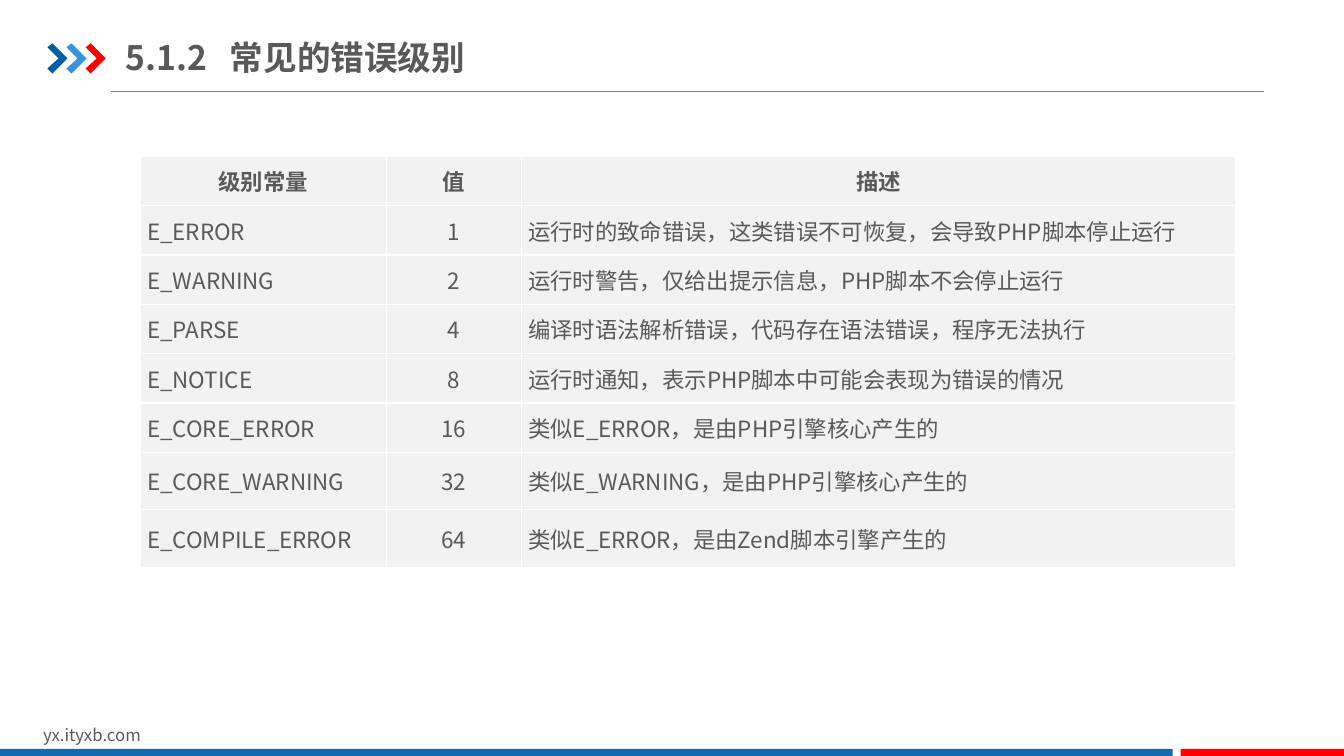
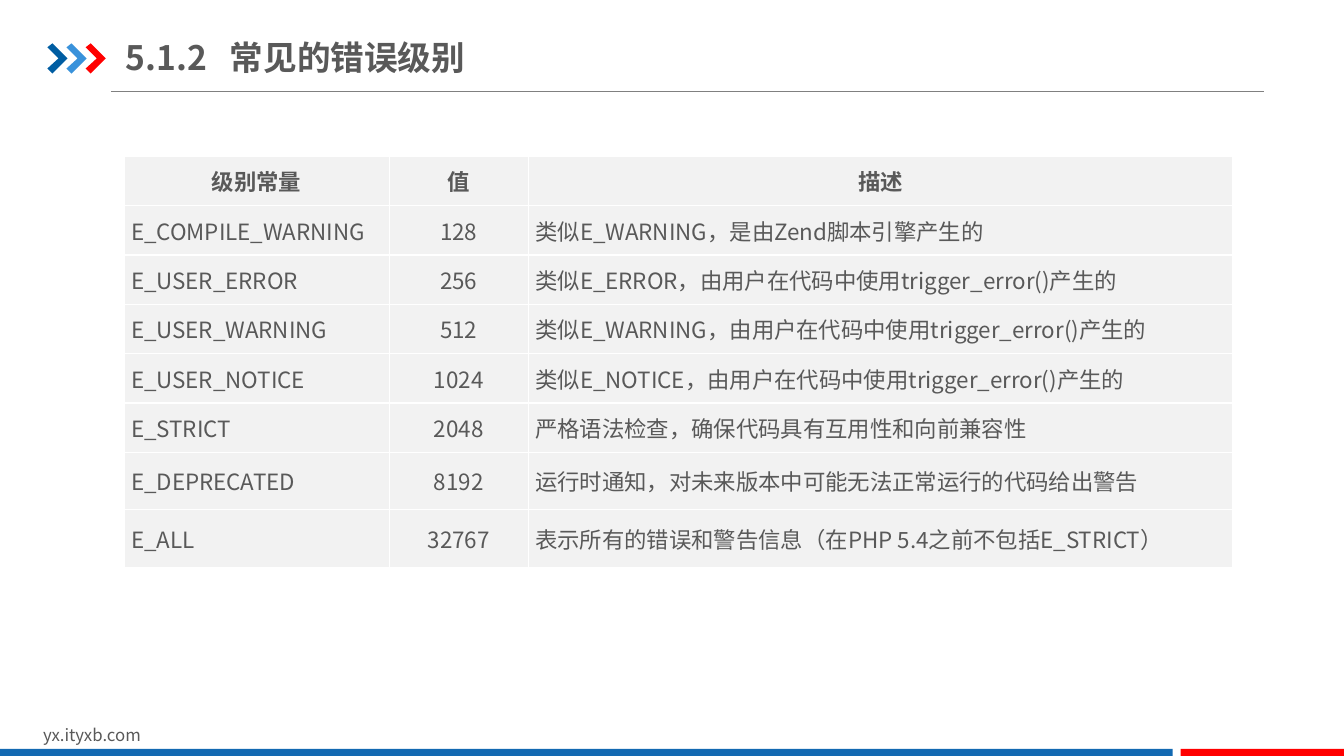
from dataclasses import dataclass

from lxml.etree import SubElement
from pptx import Presentation
from pptx.dml.color import RGBColor as Rgb
from pptx.enum.shapes import MSO_CONNECTOR as Connector, MSO_SHAPE as Shape
from pptx.enum.text import MSO_ANCHOR as Anchor, MSO_AUTO_SIZE as AutoSize, PP_ALIGN as Align
from pptx.oxml.ns import qn
from pptx.util import Inches, Pt


@dataclass(frozen=True)
class Theme:
    font: str = "Noto Sans CJK SC"
    text: str = "595959"
    rule: str = "808080"
    blue: str = "1369B2"
    red: str = "FF0000"
    chevrons: tuple = ("005DA2", "3992DB", "FF0000")
    cell: str = "F2F2F2"
    border: str = "FFFFFF"
    title_size: int = 24
    table_size: int = 16
    footer_size: int = 12


THEME = Theme()
PAGE_WIDTH, PAGE_HEIGHT = 13.33, 7.5
CHEVRON = ((0, 0.04), (0.05, 0), (0.2, 0.15), (0.05, 0.3), (0, 0.25), (0.11, 0.15))
HEADINGS = ("级别常量", "值", "描述")
ROW_HEIGHTS = (0.49,) * 6 + (0.57,) * 2

FIRST_LEVELS = (
    ("E_ERROR", "1", "运行时的致命错误，这类错误不可恢复，会导致PHP脚本停止运行"),
    ("E_WARNING", "2", "运行时警告，仅给出提示信息，PHP脚本不会停止运行"),
    ("E_PARSE", "4", "编译时语法解析错误，代码存在语法错误，程序无法执行"),
    ("E_NOTICE", "8", "运行时通知，表示PHP脚本中可能会表现为错误的情况"),
    ("E_CORE_ERROR", "16", "类似E_ERROR，是由PHP引擎核心产生的"),
    ("E_CORE_WARNING", "32", "类似E_WARNING，是由PHP引擎核心产生的"),
    ("E_COMPILE_ERROR", "64", "类似E_ERROR，是由Zend脚本引擎产生的"),
)
MORE_LEVELS = (
    ("E_COMPILE_WARNING", "128", "类似E_WARNING，是由Zend脚本引擎产生的"),
    ("E_USER_ERROR", "256", "类似E_ERROR，由用户在代码中使用trigger_error()产生的"),
    ("E_USER_WARNING", "512", "类似E_WARNING，由用户在代码中使用trigger_error()产生的"),
    ("E_USER_NOTICE", "1024", "类似E_NOTICE，由用户在代码中使用trigger_error()产生的"),
    ("E_STRICT", "2048", "严格语法检查，确保代码具有互用性和向前兼容性"),
    ("E_DEPRECATED", "8192", "运行时通知，对未来版本中可能无法正常运行的代码给出警告"),
    ("E_ALL", "32767", "表示所有的错误和警告信息（在PHP 5.4之前不包括E_STRICT）"),
)


def paint(shape, color):
    shape.shadow.inherit = False
    shape.fill.solid()
    shape.fill.fore_color.rgb = Rgb.from_string(color)
    shape.line.fill.background()


def add_span(para, text, size, bold=False):
    span = para.add_run()
    span.text = text
    span.font.size = Pt(size)
    span.font.bold = bold
    span.font.color.rgb = Rgb.from_string(THEME.text)
    span.font.name = THEME.font
    SubElement(span.font._element, qn("a:ea"), typeface=THEME.font)


def add_chevrons(page, left, top, pitch=0.19):
    group = page.shapes.add_group_shape()
    for index, color in enumerate(THEME.chevrons):
        points = [(Inches(left + index * pitch + x), Inches(top + y)) for x, y in CHEVRON]
        outline = group.shapes.build_freeform(*points[0])
        outline.add_line_segments(points[1:], close=True)
        paint(outline.convert_to_shape(), color)


def add_title(page, number, title, left, top, width, height):
    box = page.shapes.add_textbox(Inches(left), Inches(top), Inches(width), Inches(height))
    frame = box.text_frame
    frame.word_wrap = True
    frame.vertical_anchor = Anchor.MIDDLE
    frame.margin_left = frame.margin_right = 0
    frame.margin_top = frame.margin_bottom = Inches(0.07)
    para = frame.paragraphs[0]
    tabs = SubElement(para._p.get_or_add_pPr(), qn("a:tabLst"))
    SubElement(tabs, qn("a:tab"), pos=str(Inches(1.03)), algn="l")
    add_span(para, f"{number}\t{title}", THEME.title_size, bold=True)


def add_header(page, number, title, left, top):
    rule_left, rule_top = Inches(left + 0.63), Inches(top + 0.48)
    rule = page.shapes.add_connector(
        Connector.STRAIGHT, rule_left, rule_top, rule_left + Inches(11.44), rule_top)
    rule.line.color.rgb = Rgb.from_string(THEME.rule)
    rule.line.width = Pt(0.75)
    SubElement(rule._element.spPr, qn("a:effectLst"))
    add_chevrons(page, left, top)
    add_title(page, number, title, left + 0.78, top - 0.14, 4.26, 0.55)


def add_footer(page, address, top):
    box = page.shapes.add_textbox(Inches(0.33), Inches(top), Inches(3.18), Inches(0.3))
    box.text_frame.word_wrap = True
    box.text_frame.auto_size = AutoSize.SHAPE_TO_FIT_TEXT
    add_span(box.text_frame.paragraphs[0], address, THEME.footer_size)
    for left, width, color in ((0, 11.63, THEME.blue), (11.71, 1.63, THEME.red)):
        band = page.shapes.add_shape(
            Shape.RECTANGLE, Inches(left), Inches(top + 0.29), Inches(width), Inches(0.09))
        paint(band, color)


def style_cell(cell):
    properties = cell._tc.get_or_add_tcPr()
    for side in ("a:lnL", "a:lnR", "a:lnT", "a:lnB"):
        edge = SubElement(properties, qn(side), w=str(Pt(1)))
        fill = SubElement(edge, qn("a:solidFill"))
        SubElement(fill, qn("a:srgbClr"), val=THEME.border)
    cell.fill.solid()
    cell.fill.fore_color.rgb = Rgb.from_string(THEME.cell)
    cell.vertical_anchor = Anchor.MIDDLE
    cell.margin_left = cell.margin_right = Inches(0.07)
    cell.margin_top = cell.margin_bottom = 0


def add_level_table(page, levels, left, top, widths):
    rows = (HEADINGS,) + levels
    table = page.shapes.add_table(
        len(rows), len(widths), Inches(left), Inches(top),
        Inches(sum(widths)), Inches(sum(ROW_HEIGHTS))).table
    for column, width in zip(table.columns, widths):
        column.width = Inches(width)
    for row, height in zip(table.rows, ROW_HEIGHTS):
        row.height = Inches(height)
    for row_index, texts in enumerate(rows):
        heading = row_index == 0
        for column_index, text in enumerate(texts):
            cell = table.cell(row_index, column_index)
            style_cell(cell)
            para = cell.text_frame.paragraphs[0]
            para.alignment = Align.CENTER if heading or column_index == 1 else Align.LEFT
            add_span(para, text, THEME.table_size, bold=heading)


def add_level_page(deck, levels, table_left, widths):
    page = deck.slides.add_slide(deck.slide_layouts[6])
    add_header(page, "5.1.2", "常见的错误级别", 0.47, 0.43)
    add_footer(page, "yx.ityxb.com", 7.14)
    add_level_table(page, levels, table_left, 1.55, widths)


def main():
    deck = Presentation()
    deck.slide_width, deck.slide_height = Inches(PAGE_WIDTH), Inches(PAGE_HEIGHT)
    add_level_page(deck, FIRST_LEVELS, 1.39, (2.44, 1.34, 7.09))
    add_level_page(deck, MORE_LEVELS, 1.23, (2.63, 1.38, 6.99))
    deck.save("out.pptx")


if __name__ == "__main__":
    main()
